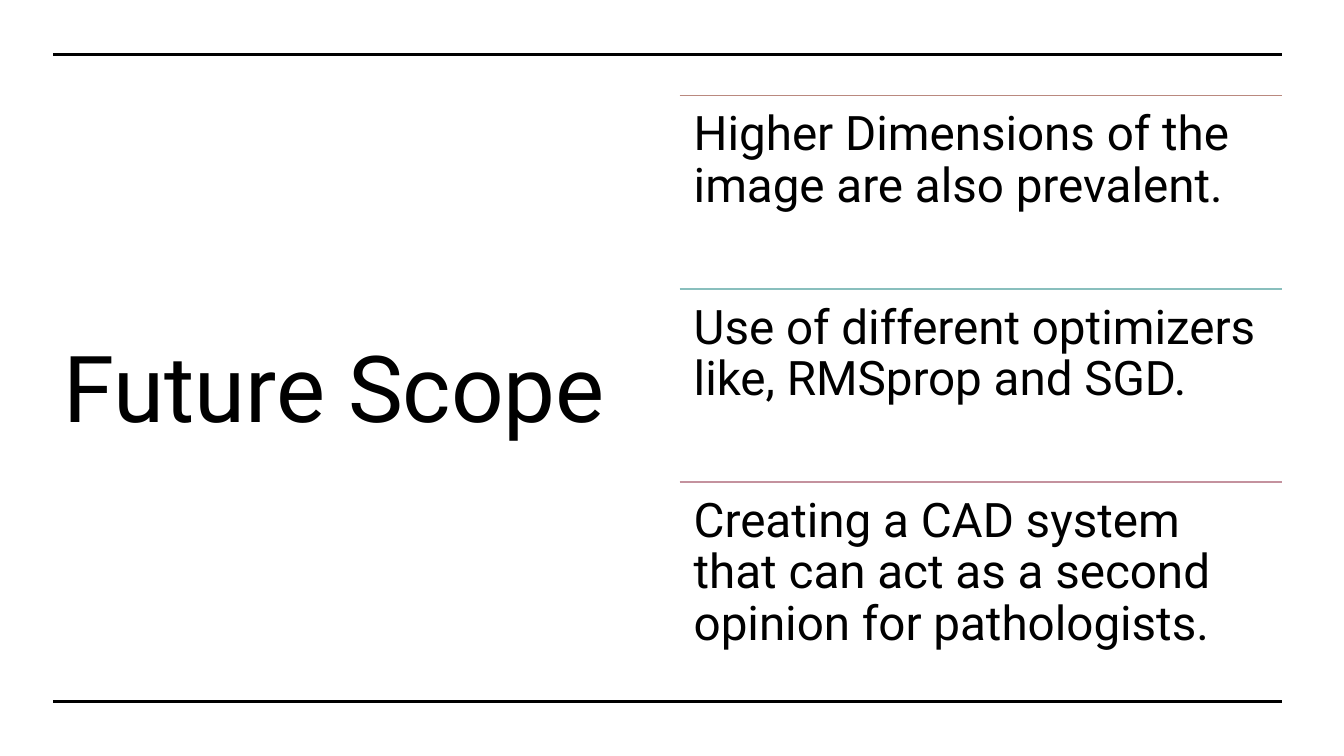
from lxml.etree import SubElement
from pptx import Presentation
from pptx.dml.color import RGBColor
from pptx.enum.shapes import MSO_CONNECTOR
from pptx.enum.text import MSO_ANCHOR, MSO_AUTO_SIZE, PP_ALIGN
from pptx.oxml.ns import qn
from pptx.util import Inches, Pt

# Content
TITLE = "Future Scope"
GOALS = [
    ("Higher Dimensions of the image are also prevalent.", "BA897F"),
    ("Use of different optimizers like, RMSprop and SGD.", "89BFBD"),
    ("Creating a CAD system that can act as a second opinion for pathologists.", "C4929E"),
]
FONT, INK = "Roboto", "000000"

# Layout, in inches
WIDTH, HEIGHT = 13.33, 7.5
LEFT, RIGHT = 0.53, 12.72
FRAME_ROWS = (0.54, 6.96)
BODY_TOP, BODY_HEIGHT = 0.95, 5.75
TITLE_WIDTH = 6.14
GOALS_LEFT = 6.74
GOAL_HEIGHT = BODY_HEIGHT / len(GOALS)
GOAL_INSET = 0.14


def color(hex_code):
    return RGBColor.from_string(hex_code)


def add_rule(left, y, hex_code, weight):
    rule = slide.shapes.add_connector(
        MSO_CONNECTOR.STRAIGHT, Inches(left), Inches(y), Inches(RIGHT), Inches(y))
    rule.line.color.rgb = color(hex_code)
    rule.line.width = Pt(weight)
    SubElement(rule._element.spPr, qn("a:effectLst"))


def write(paragraph, text, size):
    paragraph.alignment = PP_ALIGN.LEFT
    run = paragraph.add_run()
    run.text = text
    run.font.name = FONT
    run.font.size = Pt(size)
    run.font.color.rgb = color(INK)


deck = Presentation()
deck.slide_width, deck.slide_height = Inches(WIDTH), Inches(HEIGHT)
slide = deck.slides.add_slide(deck.slide_layouts[5])
slide.background.fill.solid()
slide.background.fill.fore_color.rgb = color("FFFFFF")

# Title on the left half
title = slide.shapes.title
title.left, title.top = Inches(LEFT), Inches(BODY_TOP)
title.width, title.height = Inches(TITLE_WIDTH), Inches(BODY_HEIGHT)
title.text_frame.word_wrap = True
title.text_frame.auto_size = MSO_AUTO_SIZE.NONE
title.text_frame.vertical_anchor = MSO_ANCHOR.MIDDLE
write(title.text_frame.paragraphs[0], TITLE, 66)

# Rules framing the slide
for y in FRAME_ROWS:
    add_rule(LEFT, y, INK, 2.25)

# Goals on the right, each under its own coloured rule
for row, (goal, accent) in enumerate(GOALS):
    top = BODY_TOP + row * GOAL_HEIGHT
    add_rule(GOALS_LEFT, top, accent, 1)
    goal_box = slide.shapes.add_textbox(
        Inches(GOALS_LEFT), Inches(top), Inches(RIGHT - GOALS_LEFT), Inches(GOAL_HEIGHT))
    frame = goal_box.text_frame
    frame.word_wrap = True
    frame.vertical_anchor = MSO_ANCHOR.TOP
    frame.margin_left = frame.margin_right = Inches(GOAL_INSET)
    frame.margin_top = frame.margin_bottom = Inches(GOAL_INSET)
    frame.paragraphs[0].line_spacing = 0.9
    write(frame.paragraphs[0], goal, 34)

deck.save("out.pptx")
